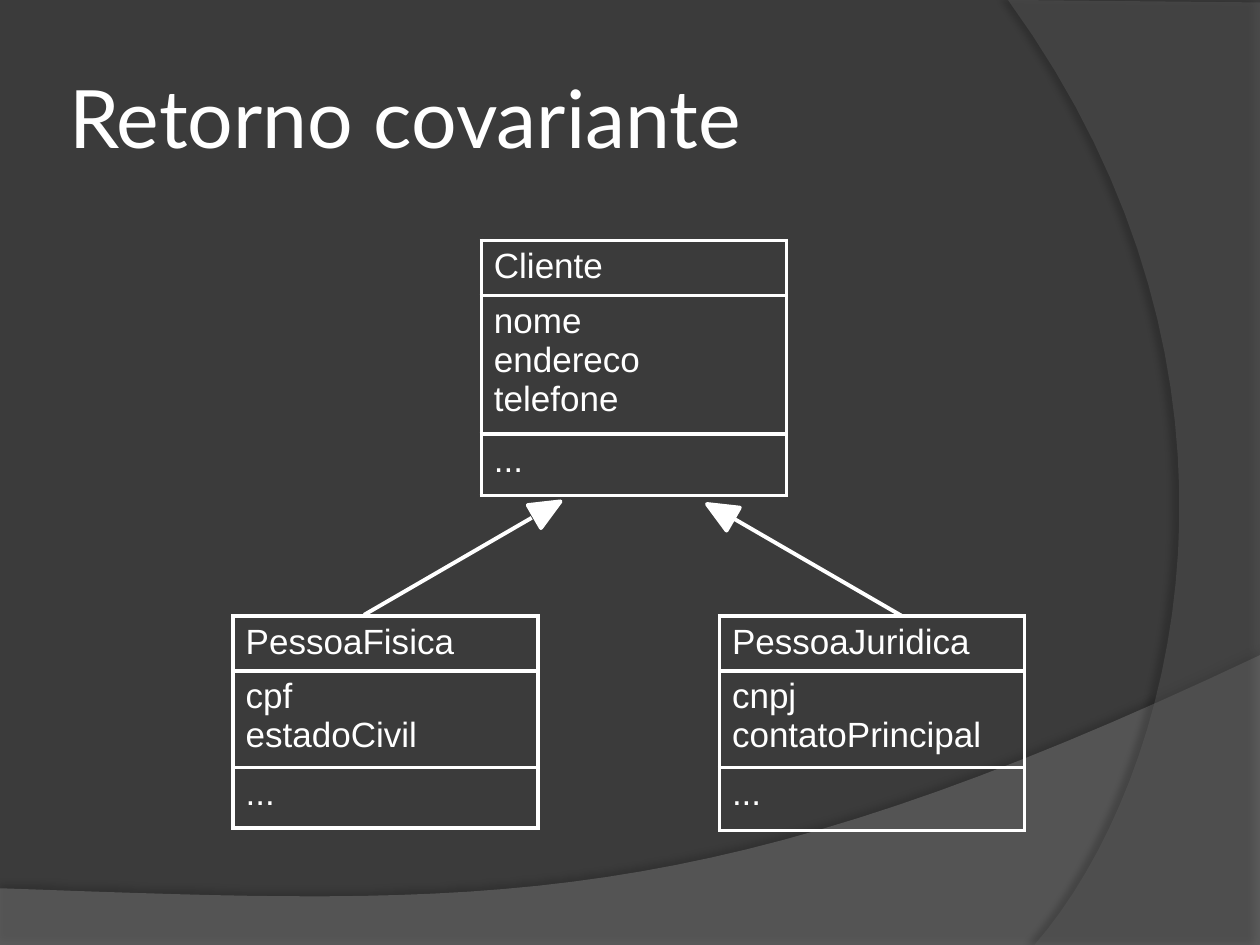
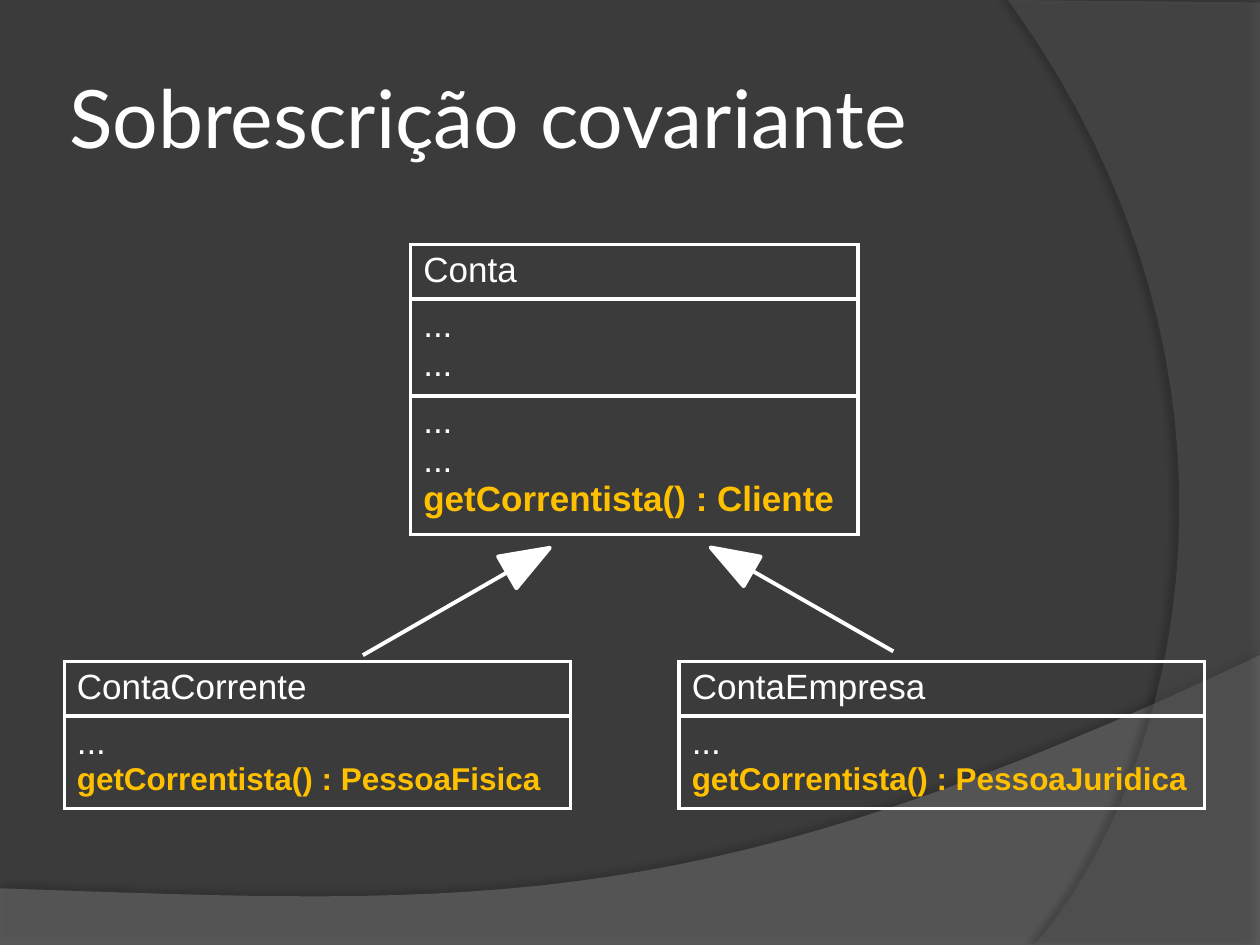
from lxml import etree
from pptx import Presentation
from pptx.dml.color import RGBColor
from pptx.enum.shapes import MSO_CONNECTOR, MSO_SHAPE
from pptx.enum.text import MSO_ANCHOR
from pptx.oxml.ns import qn
from pptx.util import Inches, Pt

TRIANGLE = MSO_SHAPE.ISOSCELES_TRIANGLE
STRAIGHT = MSO_CONNECTOR.STRAIGHT
MIDDLE = MSO_ANCHOR.MIDDLE

# The slide is a grid of 100 columns by 75 rows, each cell 0.1 inch.
COLS, ROWS = 100, 75
BACK, WHITE, ACCENT = "3B3B3B", "FFFFFF", "FFC000"
TITLE_FONT, BODY_FONT = "Lato", "Arial"
LINE = Pt(2.25)
STEPS = 32  # segments per curve


def grid(*cells):
    """Turn grid cells into slide lengths."""
    return [Inches(c / 10) for c in cells]


def rgb(code):
    return RGBColor.from_string(code)


# Bands: outline before the curve, curve (start and three control points),
# fill, opacity, then shadow opacity, blur, distance and direction.
BANDS = [
    ([(0, 70.5), (0, ROWS), (COLS, ROWS)],
     [(COLS, 52), (55.9, 72.9), (39.1, 71.9), (0, 70.5)],
     "7F7F7F", 45, (35, 4, 3.5, 270)),
    ([(COLS, 0.2), (COLS, ROWS)],
     [(82.1, ROWS), (93.5, 61.9), (101.8, 30), (80, 0)],
     "5E5E5E", 40, (45, 4, 4, 180)),
]

# Class boxes: left, top, width, then rows of (height, lines, accent size);
# an accent size highlights the last line of its row.
# Arrows: triangle left, top, width, height, rotation, then line start and end.
SLIDES = [
    ("Retorno covariante",
     [(38.2, 19.1, 24.2, [(4.1, ["Cliente"], None),
                          (10.3, ["nome", "endereco", "telefone"], None),
                          (4.9, ["..."], None)]),
      (57.1, 48.9, 24.2, [(4.1, ["PessoaJuridica"], None),
                          (7.2, ["cnpj", "contatoPrincipal"], None),
                          (5, ["..."], None)]),
      (18.5, 48.9, 24.2, [(4.1, ["PessoaFisica"], None),
                          (7.2, ["cpf", "estadoCivil"], None),
                          (4.8, ["..."], None)])],
     [((42.4, 39.2, 2.1, 2.4), 60, (42.2, 41.1, 28.9, 48.8)),
      ((56.1, 39.4, 2.1, 2.4), 300, (58.3, 41.2, 71.6, 48.9))]),
    ("Sobrescrição covariante",
     [(32.6, 19.4, 35.5, [(4.1, ["Conta"], None),
                          (7.6, ["...", "..."], None),
                          (10.3, ["...", "...", "getCorrentista() : Cliente"], 20)]),
      (53.9, 52.5, 41.7, [(4.1, ["ContaEmpresa"], None),
                          (6.9, ["...", "getCorrentista() : PessoaJuridica"], 18)]),
      (5.1, 52.5, 40.2, [(4.1, ["ContaCorrente"], None),
                         (6.9, ["...", "getCorrentista() : PessoaFisica"], 18)])],
     [((56.7, 42.5, 2.7, 3.8), 300, (59.7, 45.3, 70.9, 51.7)),
      ((40.5, 42.5, 2.9, 3.9), 60, (40.3, 45.4, 28.8, 52))]),
]

prs = Presentation()
prs.slide_width, prs.slide_height = grid(COLS, ROWS)

for title, boxes, arrows in SLIDES:
    s = prs.slides.add_slide(prs.slide_layouts[6])
    s.background.fill.solid()
    s.background.fill.fore_color.rgb = rgb(BACK)

    for outline, curve, color, opacity, shadow in BANDS:
        points = list(outline)
        for i in range(STEPS + 1):
            t = i / STEPS
            weights = (1 - t) ** 3, 3 * t * (1 - t) ** 2, 3 * t * t * (1 - t), t ** 3
            points.append(tuple(sum(w * c[axis] for w, c in zip(weights, curve))
                                for axis in (0, 1)))
        points = [grid(*point) for point in points]
        builder = s.shapes.build_freeform(*points[0])
        builder.add_line_segments(points[1:], close=True)
        sp = builder.convert_to_shape()
        sp.line.fill.background()
        sp.fill.solid()
        sp.fill.fore_color.rgb = rgb(color)
        clr = sp.fill._xPr.find(".//" + qn("a:srgbClr"))
        etree.SubElement(clr, qn("a:alpha"), val=str(opacity * 1000))
        sp.shadow.inherit = False
        strength, blur, dist, angle = shadow
        outer = etree.SubElement(
            sp._element.spPr.find(qn("a:effectLst")), qn("a:outerShdw"),
            blurRad=str(Pt(blur)), dist=str(Pt(dist)), dir=str(angle * 60000),
            algn="ctr", rotWithShape="0")
        clr = etree.SubElement(outer, qn("a:srgbClr"), val="000000")
        etree.SubElement(clr, qn("a:alpha"), val=str(strength * 1000))

    tf = s.shapes.add_textbox(*grid(5, 3, 81.7, 12.5)).text_frame
    tf.word_wrap = True
    tf.vertical_anchor = MIDDLE
    tf.margin_left = tf.margin_right = Inches(0.05)
    r = tf.paragraphs[0].add_run()
    r.text = title
    r.font.name, r.font.size = TITLE_FONT, Pt(46)
    r.font.color.rgb = rgb(WHITE)

    for left, top, width, rows in boxes:
        height = sum(row[0] for row in rows)
        table = s.shapes.add_table(len(rows), 1, *grid(left, top, width, height)).table
        table.first_row = table.horz_banding = False
        for i, (row_height, lines, accent_size) in enumerate(rows):
            table.rows[i].height = grid(row_height)[0]
            cell = table.cell(i, 0)
            cell.fill.background()
            tcPr = cell._tc.get_or_add_tcPr()
            for n, side in enumerate(("lnL", "lnR", "lnT", "lnB")):
                ln = etree.Element(qn("a:" + side), w=str(LINE))
                solid = etree.SubElement(ln, qn("a:solidFill"))
                etree.SubElement(solid, qn("a:srgbClr"), val=WHITE)
                tcPr.insert(n, ln)
            p = cell.text_frame.paragraphs[0]
            for n, line in enumerate(lines):
                if n:
                    p.add_line_break()
                accent = accent_size and n == len(lines) - 1
                r = p.add_run()
                r.text = line
                r.font.name = BODY_FONT
                r.font.size = Pt(accent_size if accent else 20)
                r.font.bold = bool(accent)
                r.font.color.rgb = rgb(ACCENT if accent else WHITE)

    for head, rotation, ends in arrows:
        arrow = s.shapes.add_group_shape()
        sp = arrow.shapes.add_shape(TRIANGLE, *grid(*head))
        sp.rotation = rotation
        sp.shadow.inherit = False
        sp.fill.solid()
        sp.fill.fore_color.rgb = rgb(WHITE)
        shaft = arrow.shapes.add_connector(STRAIGHT, *grid(*ends))
        for part in (sp, shaft):
            part.line.color.rgb = rgb(WHITE)
            part.line.width = LINE
        etree.SubElement(shaft._element.spPr, qn("a:effectLst"))

prs.save("out.pptx")
